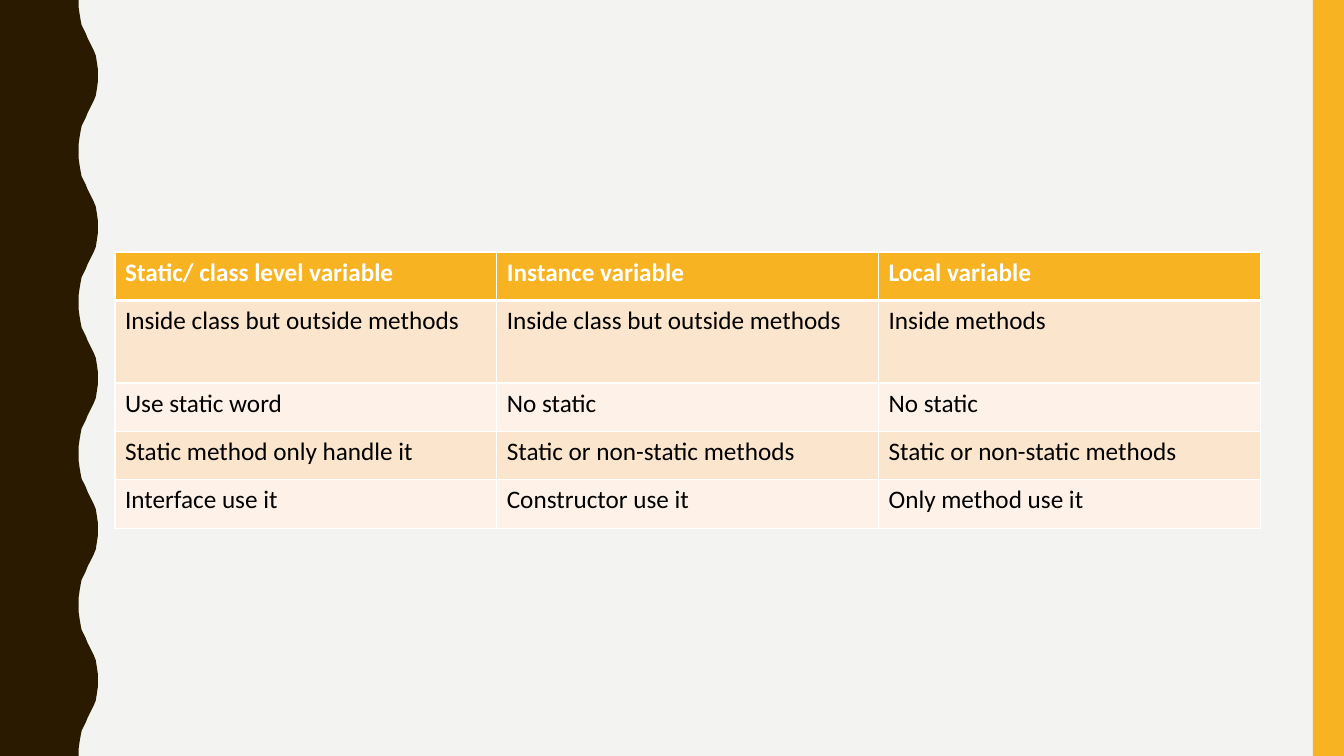
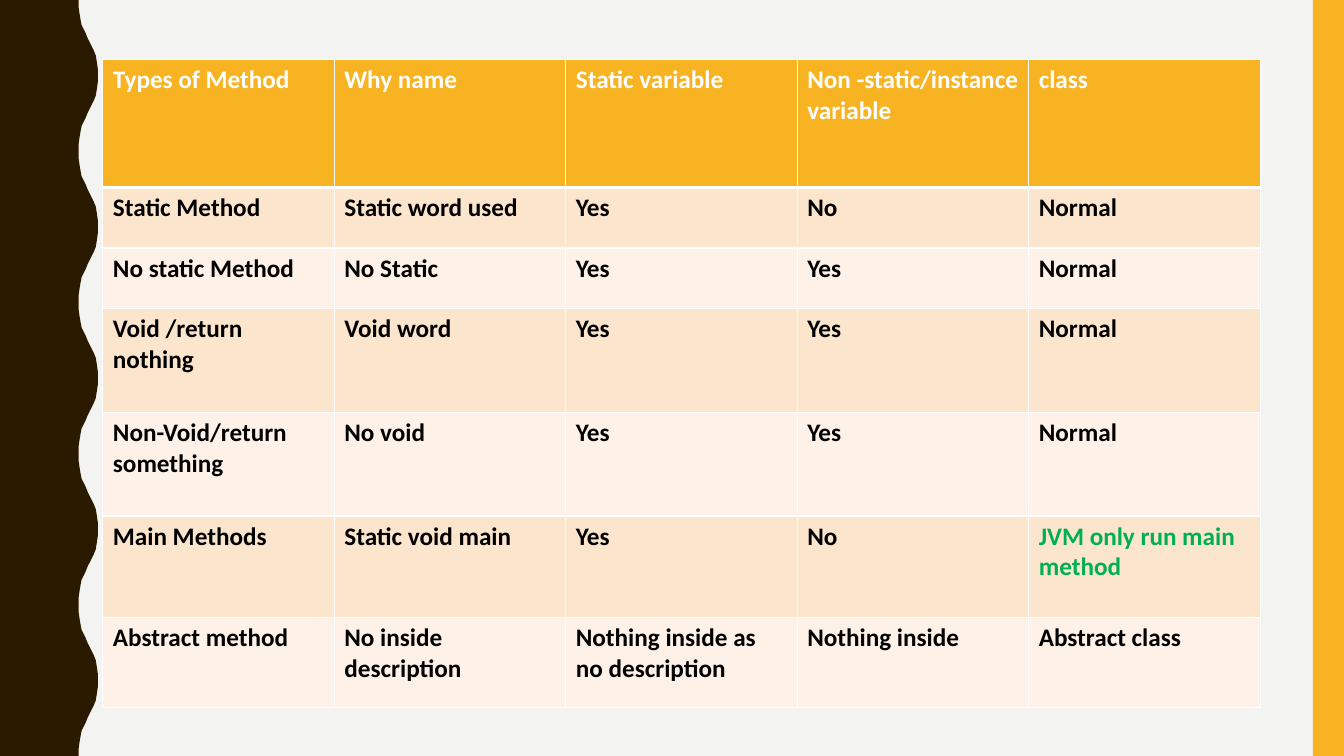
from lxml import etree
from pptx import Presentation
from pptx import util as u
from pptx.dml.color import RGBColor
from pptx.enum import shapes
from pptx.oxml import ns

PX = 9144  # EMU in one px, 100 px to the inch
WIDTH, HEIGHT = 1333, 750

PAPER = RGBColor(0xF3, 0xF3, 0xF2)
BROWN = RGBColor(0x2A, 0x1A, 0x00)
AMBER = RGBColor(0xF8, 0xB3, 0x23)
PEACH = RGBColor(0xFC, 0xE5, 0xCD)
CREAM = RGBColor(0xFE, 0xF2, 0xE8)
WHITE = RGBColor(0xFF, 0xFF, 0xFF)
BLACK = RGBColor(0x00, 0x00, 0x00)
GREEN = RGBColor(0x00, 0xB0, 0x50)

# Wave edge from trough to crest: x, and y within half a period
HALF_PERIOD = 75
RISE = [(78, 0), (78, 7), (79, 14), (80, 20), (81, 25), (83, 29), (85, 33), (87, 38),
        (89, 42), (91, 46), (93, 50), (95, 55), (96, 61), (97, 68), (97, 75)]
FALL = [(x, HALF_PERIOD - y) for x, y in reversed(RISE)]

# Each table: left, top, width, row heights, bold body, cells
TABLES = [
    (114, 250, 1136, [48, 82, 48, 48, 48], False, [
        ["Static/ class level variable", "Instance variable", "Local variable"],
        ["Inside class but outside methods", "Inside class but outside methods", "Inside methods"],
        ["Use static word", "No static", "No static"],
        ["Static method only handle it", "Static or non-static methods",
         "Static or non-static methods"],
        ["Interface use it", "Constructor use it", "Only method use it"],
    ]),
    (102, 59, 1148, [127, 60, 60, 103, 103, 101, 89], True, [
        ["Types of Method", "Why name", "Static variable", "Non -static/instance variable", "class"],
        ["Static Method", "Static word used", "Yes", "No", "Normal"],
        ["No static Method", "No Static", "Yes", "Yes", "Normal"],
        ["Void /return nothing", "Void word", "Yes", "Yes", "Normal"],
        ["Non-Void/return something", "No void", "Yes", "Yes", "Normal"],
        ["Main Methods", "Static void main", "Yes", "No", "JVM only run main method"],
        ["Abstract method", "No inside description", "Nothing inside as no description",
         "Nothing inside", "Abstract class"],
    ]),
]
HIGHLIGHTS = {"JVM only run main method": GREEN}


def paint(shape, color):
    shape.shadow.inherit = False
    shape.fill.solid()
    shape.fill.fore_color.rgb = color
    shape.line.fill.background()


def set_borders(cell, row):
    """White borders, thicker under the header row."""
    points = {"lnL": 1, "lnR": 1, "lnT": 3 if row == 1 else 1, "lnB": 3 if row == 0 else 1}
    properties = cell._tc.get_or_add_tcPr()
    for side, width in points.items():
        line = etree.SubElement(properties, ns.qn("a:" + side), w=str(u.Pt(width)))
        fill = etree.SubElement(line, ns.qn("a:solidFill"))
        etree.SubElement(fill, ns.qn("a:srgbClr"), val=str(WHITE))


deck = Presentation()
deck.slide_width, deck.slide_height = WIDTH * PX, HEIGHT * PX

# Shared background
background = deck.slide_master.background.fill
background.solid()
background.fore_color.rgb = PAPER

for left, top, width, heights, bold_body, rows in TABLES:
    page = deck.slides.add_slide(deck.slide_layouts[6])

    # Wavy band on the left
    edge = []
    for half in range(HEIGHT // HALF_PERIOD):
        curve = FALL if half % 2 else RISE
        edge += [(x, half * HALF_PERIOD + y) for x, y in curve]
    outline = page.shapes.build_freeform(0, 0, scale=PX)
    outline.add_line_segments(edge + [(0, HEIGHT)], close=True)
    paint(outline.convert_to_shape(), BROWN)

    # Straight band on the right
    band = page.shapes.add_shape(shapes.MSO_SHAPE.RECTANGLE,
                                 1302 * PX, 0, 31 * PX, HEIGHT * PX)
    paint(band, AMBER)

    # Table
    table = page.shapes.add_table(len(rows), len(rows[0]), left * PX, top * PX,
                                  width * PX, sum(heights) * PX).table
    table.horz_banding = False
    for column in table.columns:
        column.width = width * PX // len(rows[0])
    for row, (height, wordings) in enumerate(zip(heights, rows)):
        table.rows[row].height = height * PX
        header = row == 0
        for column, wording in enumerate(wordings):
            cell = table.cell(row, column)
            set_borders(cell, row)
            cell.fill.solid()
            cell.fill.fore_color.rgb = AMBER if header else PEACH if row % 2 else CREAM
            span = cell.text_frame.paragraphs[0].add_run()
            span.text = wording
            span.font.name = "Calibri"
            span.font.size = u.Pt(18)
            span.font.bold = header or bold_body
            span.font.color.rgb = WHITE if header else HIGHLIGHTS.get(wording, BLACK)

deck.save("out.pptx")
